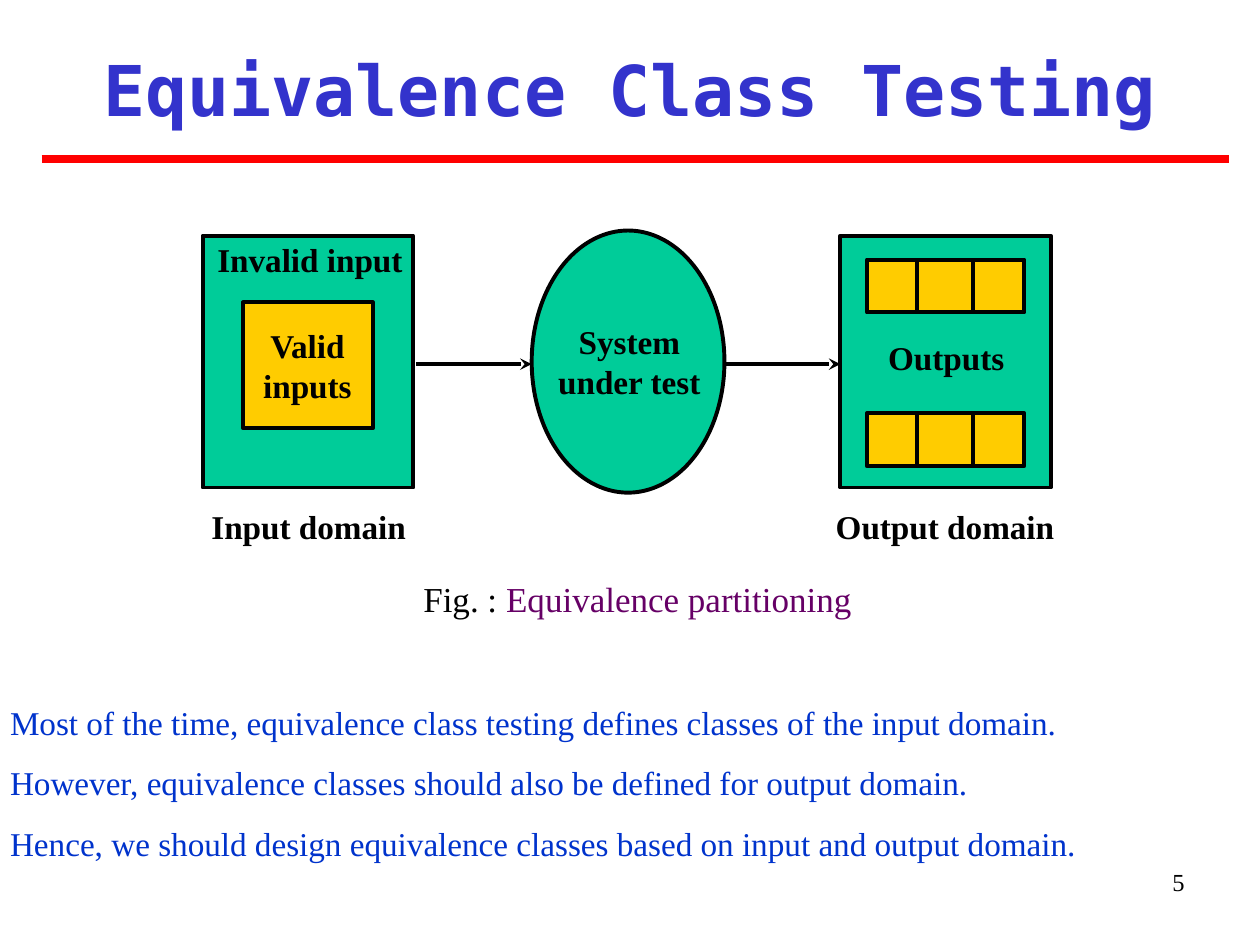
from lxml.etree import SubElement
from pptx import Presentation
from pptx.dml.color import RGBColor
from pptx.enum.shapes import MSO_CONNECTOR, MSO_SHAPE
from pptx.enum.text import PP_ALIGN
from pptx.oxml.ns import qn
from pptx.util import Inches, Pt

HUES = {
    "ink": "000000", "title": "3333CC", "rule": "FF0000", "fig": "660066",
    "green": "00CC99", "gold": "FFCC00", "body": "0033CC",
}
SERIF = "Times New Roman"
LABEL = {"name": SERIF, "size": Pt(19), "bold": True}
BODY = {"name": SERIF, "size": Pt(19), "bold": False}
CAPTION = {"name": SERIF, "size": Pt(20), "bold": False}
TITLE = {"name": "DejaVu Sans Mono", "size": Pt(40), "bold": True}
NUMBER = {"name": SERIF, "size": Pt(14), "bold": False}


def color(key):
    """Return the named colour."""
    return RGBColor.from_string(HUES[key])


def add_text(slide, box, paras, style, align=PP_ALIGN.CENTER, pad=(0, 0), gap=0):
    """Add a text box; each paragraph is a list of (text, colour) runs."""
    frame = slide.shapes.add_textbox(*map(Inches, box)).text_frame
    frame.word_wrap = True
    frame.margin_left = frame.margin_right = Inches(pad[0])
    frame.margin_top = frame.margin_bottom = Inches(pad[1])
    for i, runs in enumerate(paras):
        para = frame.add_paragraph() if i else frame.paragraphs[0]
        para.alignment = align
        if i:
            para.space_before = Pt(gap)
        for text, key in runs:
            run = para.add_run()
            run.text = text
            for name, value in style.items():
                setattr(run.font, name, value)
            run.font.color.rgb = color(key)


def add_block(slide, kind, box, key):
    """Add a filled shape with a black outline."""
    shape = slide.shapes.add_shape(kind, *map(Inches, box))
    shape.shadow.inherit = False
    shape.fill.solid()
    shape.fill.fore_color.rgb = color(key)
    shape.line.color.rgb = color("ink")
    shape.line.width = Pt(2.25)


def add_line(slide, start, end, key="ink", width=2.25, arrow=False):
    """Add a straight line, with an arrowhead if asked."""
    line = slide.shapes.add_connector(
        MSO_CONNECTOR.STRAIGHT, *map(Inches, (*start, *end)))
    line.line.color.rgb = color(key)
    line.line.width = Pt(width)
    if arrow:
        SubElement(line.line._get_or_add_ln(), qn("a:tailEnd"), type="stealth")
    SubElement(line._element.spPr, qn("a:effectLst"))


def add_cells(slide, top):
    """Add a gold bar split into three cells."""
    high = 0.42
    add_block(slide, MSO_SHAPE.RECTANGLE, (6.88, top, 1.25, high), "gold")
    for left in (7.28, 7.72):
        add_line(slide, (left, top), (left, top + high))


def add_figure(slide):
    """Draw the input, system and output diagram."""
    for left in (1.61, 6.67):
        add_block(slide, MSO_SHAPE.RECTANGLE, (left, 1.87, 1.67, 2), "green")
    add_block(slide, MSO_SHAPE.OVAL, (4.22, 1.83, 1.53, 2.08), "green")
    add_block(slide, MSO_SHAPE.RECTANGLE, (1.93, 2.4, 1.03, 1), "gold")
    for top in (2.06, 3.28):
        add_cells(slide, top)
    for left, right in ((3.3, 4.22), (5.75, 6.67)):
        add_line(slide, (left, 2.89), (right, 2.89), arrow=True)
    labels = {
        "Invalid input": (1.67, 1.9, 1.58, 0.32),
        "Valid inputs": (1.98, 2.58, 0.92, 0.63),
        "System under test": (4.33, 2.55, 1.33, 0.63),
        "Outputs": (6.7, 2.68, 1.62, 0.32),
        "Input domain": (1.6, 4.02, 1.7, 0.32),
        "Output domain": (6.5, 4.02, 2, 0.32),
    }
    for text, box in labels.items():
        add_text(slide, box, [[(text, "ink")]], LABEL)


def main():
    """Build the slide and save it."""
    deck = Presentation()
    deck.slide_width, deck.slide_height = Inches(10), Inches(7.5)
    slide = deck.slides.add_slide(deck.slide_layouts[6])
    add_text(slide, (0.33, 0.32, 9.33, 0.77),
             [[("Equivalence Class Testing", "title")]], TITLE, pad=(0.1, 0.05))
    add_line(slide, (0.33, 1.26), (9.75, 1.26), "rule", 4.5)
    add_figure(slide)
    add_text(slide, (0.42, 4.58, 9.28, 0.33),
             [[("Fig. : ", "ink"), ("Equivalence partitioning", "fig")]], CAPTION)
    notes = (
        "Most of the time, equivalence class testing defines classes of the input domain.",
        "However, equivalence classes should also be defined for output domain.",
        "Hence, we should design equivalence classes based on input and output domain.",
    )
    add_text(slide, (0.08, 5.57, 9.83, 1.28), [[(note, "body")] for note in notes],
             BODY, PP_ALIGN.JUSTIFY, gap=11.9)
    add_text(slide, (7.17, 6.83, 2.33, 0.52), [[("5", "ink")]], NUMBER,
             PP_ALIGN.RIGHT, (0.1, 0.05))
    deck.save("out.pptx")


if __name__ == "__main__":
    main()
